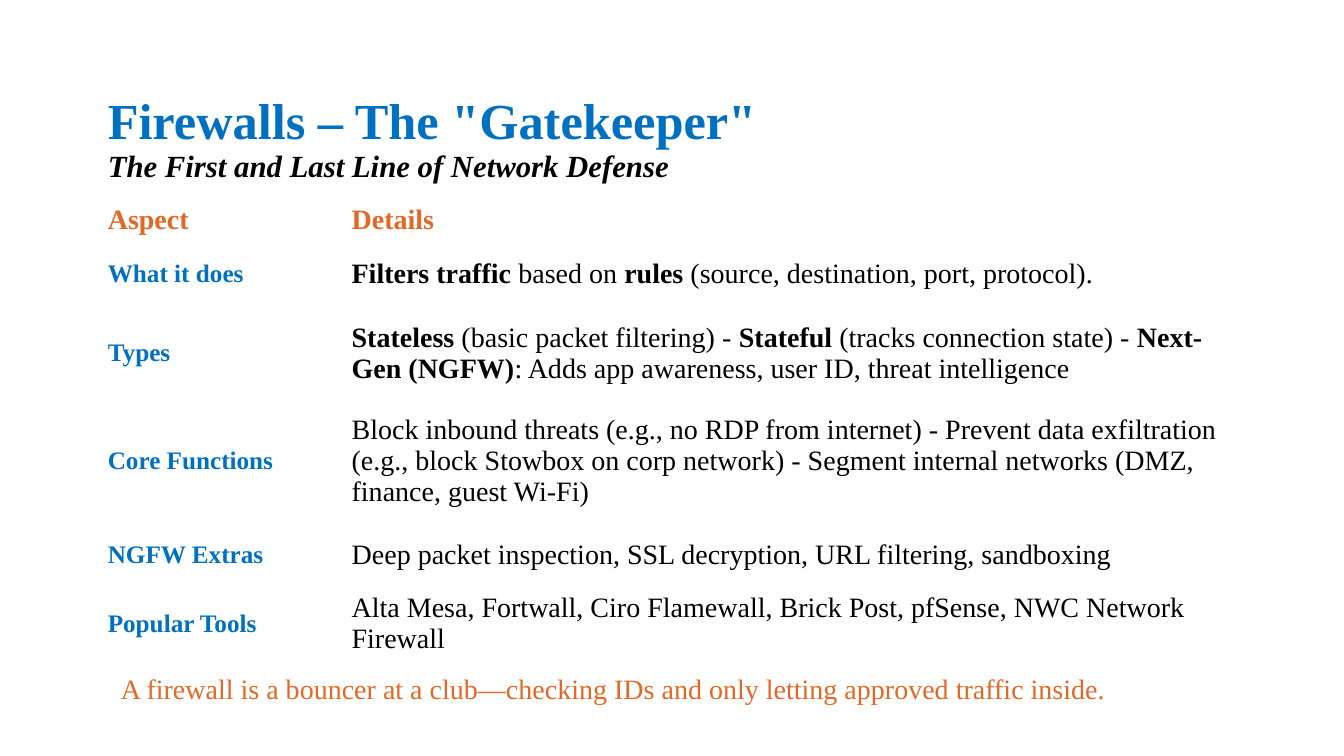
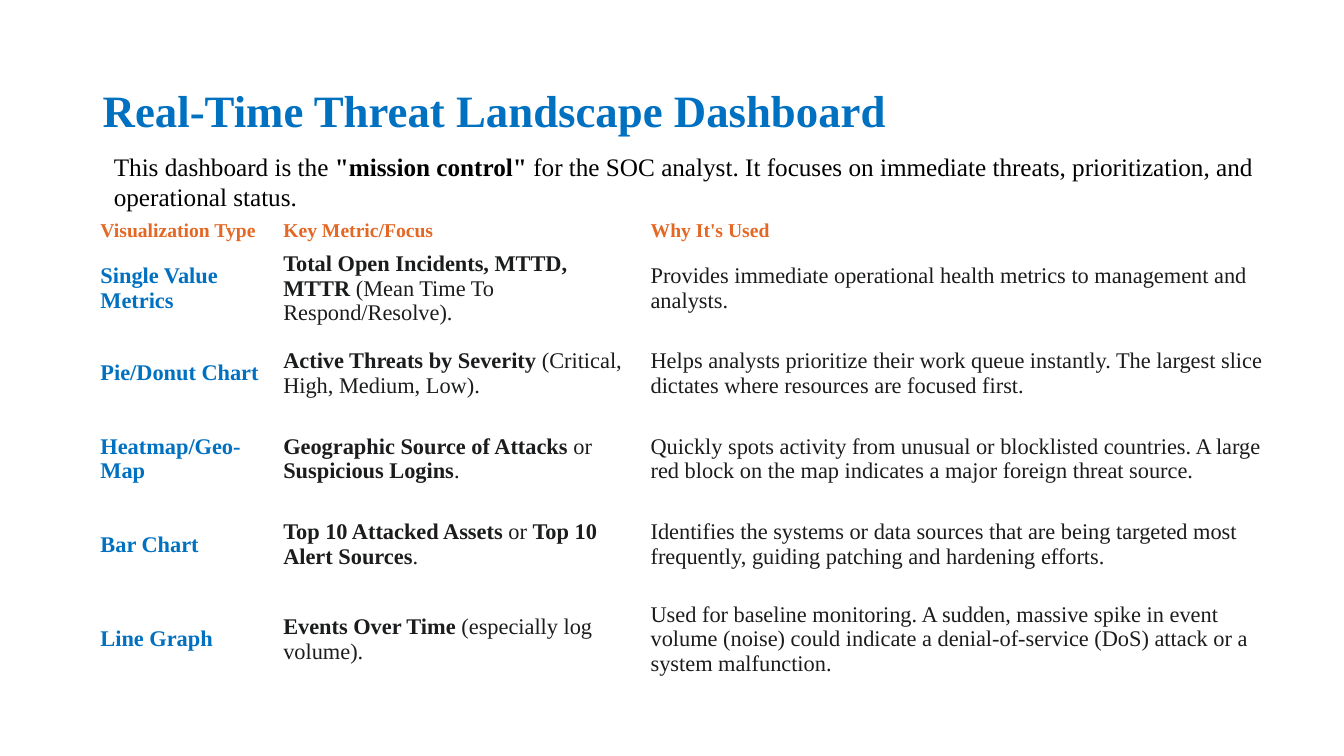
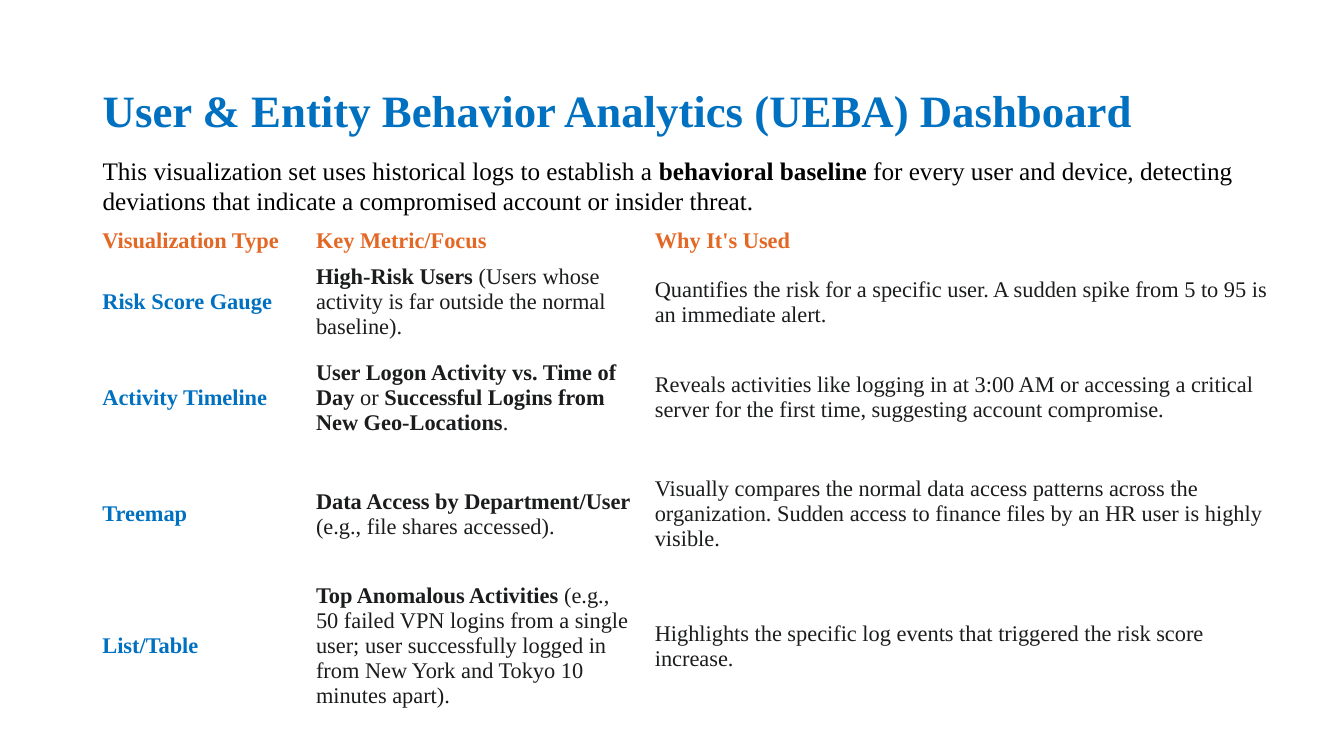
from pptx import Presentation
from pptx.dml.color import RGBColor
from pptx.enum import text as t
from pptx.util import Pt

FONT = "Times New Roman"
BLUE, ORANGE, BLACK, INK = "0070C0", "E46825", "000000", "1B1C1D"
NO_STYLE = "{2D5ABB26-0587-4C30-8999-92F81FD0307C}"
DASHBOARD_HEADS = ["Visualization Type", "Key Metric/Focus", "Why It's Used"]

FIREWALL_ROWS = [
    ["Aspect", "Details"],
    ["What it does",
     "**Filters traffic** based on **rules** (source, destination, port, protocol)."],
    ["Types",
     "**Stateless** (basic packet filtering) - **Stateful** (tracks connection state) - "
     "**Next-Gen (NGFW)**: Adds app awareness, user ID, threat intelligence"],
    ["Core Functions",
     "Block inbound threats (e.g., no RDP from internet) - Prevent data exfiltration "
     "(e.g., block Stowbox on corp network) - Segment internal networks "
     "(DMZ, finance, guest Wi-Fi)"],
    ["NGFW Extras",
     "Deep packet inspection, SSL decryption, URL filtering, sandboxing"],
    ["Popular Tools",
     "Alta Mesa, Fortwall, Ciro Flamewall, Brick Post, pfSense, NWC Network Firewall"],
]

THREAT_ROWS = [
    DASHBOARD_HEADS,
    ["Single Value Metrics",
     "**Total Open Incidents, MTTD, MTTR** (Mean Time To Respond/Resolve).",
     "Provides immediate operational health metrics to management and analysts."],
    ["Pie/Donut Chart",
     "**Active Threats by Severity** (Critical, High, Medium, Low).",
     "Helps analysts prioritize their work queue instantly. The largest slice "
     "dictates where resources are focused first."],
    ["Heatmap/Geo-Map",
     "**Geographic Source of Attacks** or **Suspicious Logins**.",
     "Quickly spots activity from unusual or blocklisted countries. A large red block "
     "on the map indicates a major foreign threat source."],
    ["Bar Chart",
     "**Top 10 Attacked Assets** or **Top 10 Alert Sources**.",
     "Identifies the systems or data sources that are being targeted most frequently, "
     "guiding patching and hardening efforts."],
    ["Line Graph",
     "**Events Over Time** (especially log volume).",
     "Used for baseline monitoring. A sudden, massive spike in event volume (noise) "
     "could indicate a denial-of-service (DoS) attack or a system malfunction."],
]

UEBA_ROWS = [
    DASHBOARD_HEADS,
    ["Risk Score Gauge",
     "**High-Risk Users** (Users whose activity is far outside the normal baseline).",
     "Quantifies the risk for a specific user. A sudden spike from 5 to 95 is an "
     "immediate alert."],
    ["Activity Timeline",
     "**User Logon Activity vs. Time of Day** or "
     "**Successful Logins from New Geo-Locations**.",
     "Reveals activities like logging in at 3:00 AM or accessing a critical server for "
     "the first time, suggesting account compromise."],
    ["Treemap",
     "**Data Access by Department/User** (e.g., file shares accessed).",
     "Visually compares the normal data access patterns across the organization. "
     "Sudden access to finance files by an HR user is highly visible."],
    ["List/Table",
     "**Top Anomalous Activities** (e.g., 50 failed VPN logins from a single user; user "
     "successfully logged in from New York and Tokyo 10 minutes apart).",
     "Highlights the specific log events that triggered the risk score increase."],
]


def rgb(color):
    return RGBColor.from_string(color)


def write(p, text, size, color, bold=False, italic=False):
    """Fill a paragraph; parts between ** marks are bold."""
    for i, part in enumerate(text.split("**")):
        if part:
            r = p.add_run()
            r.text = part
            f = r.font
            f.name, f.size, f.italic = FONT, Pt(size), italic
            f.bold = bold or i % 2 == 1
            f.color.rgb = rgb(color)


def add_titled_slide(prs, box, title, size, subtitle=None):
    slide = prs.slides.add_slide(prs.slide_layouts[5])
    sp = slide.shapes.title
    sp.left, sp.top, sp.width, sp.height = map(Pt, box)
    tf = sp.text_frame
    tf.auto_size = t.MSO_AUTO_SIZE.NONE
    tf.word_wrap = True
    tf.vertical_anchor = t.MSO_ANCHOR.MIDDLE
    write(tf.paragraphs[0], title, size, BLUE, bold=True)
    if subtitle:
        tf.margin_bottom = Pt(30)
        write(tf.add_paragraph(), subtitle, 22, BLACK, bold=True, italic=True)
    for p in tf.paragraphs:
        p.alignment = t.PP_ALIGN.LEFT
        p.line_spacing = 0.9
    return slide


def add_note(slide, box, text, size, color, wrap=True):
    tf = slide.shapes.add_textbox(*map(Pt, box)).text_frame
    tf.word_wrap = wrap
    tf.auto_size = t.MSO_AUTO_SIZE.SHAPE_TO_FIT_TEXT
    write(tf.paragraphs[0], text, size, color)


def add_aspect_table(slide, left, top, widths, heights, rows, insets, sizes, ink):
    """Sizes are those of the header row, the first column and the other cells."""
    head_size, label_size, body_size = sizes
    table = slide.shapes.add_table(
        len(rows), len(widths), Pt(left), Pt(top), Pt(sum(widths)), Pt(sum(heights))).table
    table.first_row = table.horz_banding = False
    table._tbl.tblPr[0].text = NO_STYLE
    for column, width in zip(table.columns, widths):
        column.width = Pt(width)
    for i, (height, texts) in enumerate(zip(heights, rows)):
        table.rows[i].height = Pt(height)
        for j, text in enumerate(texts):
            cell = table.cell(i, j)
            cell.fill.background()
            cell.vertical_anchor = t.MSO_ANCHOR.MIDDLE
            cell.margin_left = cell.margin_right = Pt(insets[0])
            cell.margin_top = cell.margin_bottom = Pt(insets[1])
            if i == 0:
                size, color = head_size, ORANGE
            elif j == 0:
                size, color = label_size, BLUE
            else:
                size, color = body_size, ink
            write(cell.text_frame.paragraphs[0], text, size, color, bold=i == 0 or j == 0)


def main():
    prs = Presentation()
    prs.slide_width, prs.slide_height = Pt(960), Pt(540)
    dashboard_title = (66.2, 28.8, 828, 104.4)

    slide = add_titled_slide(prs, (69.8, 61.2, 828, 104.4), 'Firewalls – The "Gatekeeper"', 36,
                             "The First and Last Line of Network Defense")
    add_aspect_table(slide, 69.8, 142.6, [174.2, 646.6], [29.5, 46.8, 67, 87.1, 46.8, 51.8],
                     FIREWALL_ROWS, (7.2, 3.6), (20, 18, 20), BLACK)
    add_note(slide, (79.2, 476, 722, 53),
             "A firewall is a bouncer at a club—checking IDs and only letting approved "
             "traffic inside.", 20, ORANGE, wrap=False)

    slide = add_titled_slide(prs, dashboard_title, "Real-Time Threat Landscape Dashboard", 32)
    add_aspect_table(slide, 66.2, 154, [130.6, 262.4, 453.4], [20.9, 47.5, 61.2, 61.2, 61.2, 74.2],
                     THREAT_ROWS, (5.6, 3.3), (14, 16, 16), INK)
    add_note(slide, (74.2, 104.4, 874.8, 51),
             'This dashboard is the **"mission control"** for the SOC analyst. It focuses on '
             "immediate threats, prioritization, and operational status.", 18, BLACK)

    slide = add_titled_slide(prs, dashboard_title,
                             "User & Entity Behavior Analytics (UEBA) Dashboard", 32)
    add_aspect_table(slide, 66.2, 159.2, [152.6, 242, 455], [25.9, 58.3, 74.9, 91.4, 91.4],
                     UEBA_ROWS, (7, 4.1), (16, 16, 16), INK)
    add_note(slide, (66.2, 107.3, 849.6, 52.5),
             "This visualization set uses historical logs to establish a **behavioral baseline** "
             "for every user and device, detecting deviations that indicate a compromised "
             "account or insider threat.", 18, BLACK)

    prs.save("out.pptx")


if __name__ == "__main__":
    main()
